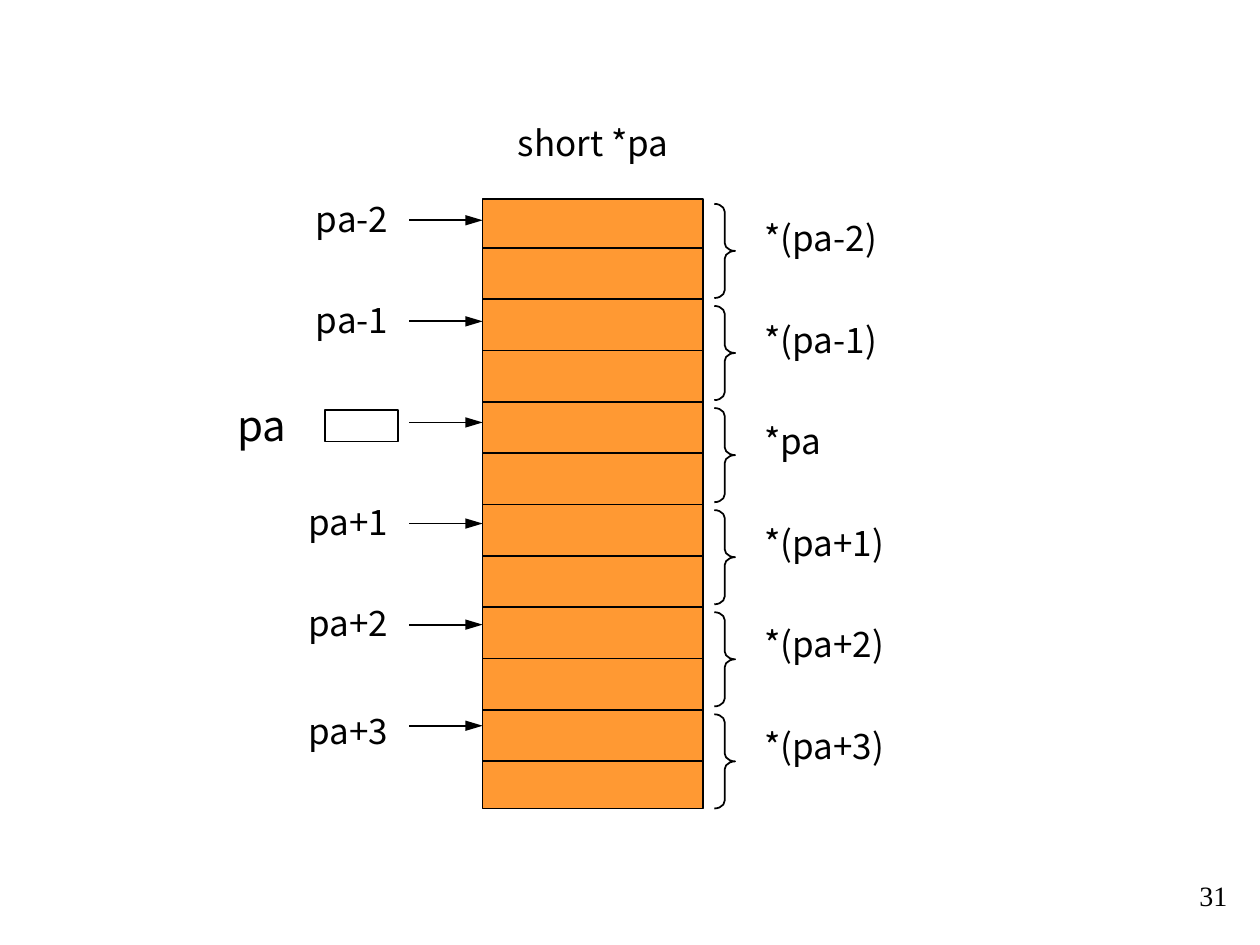
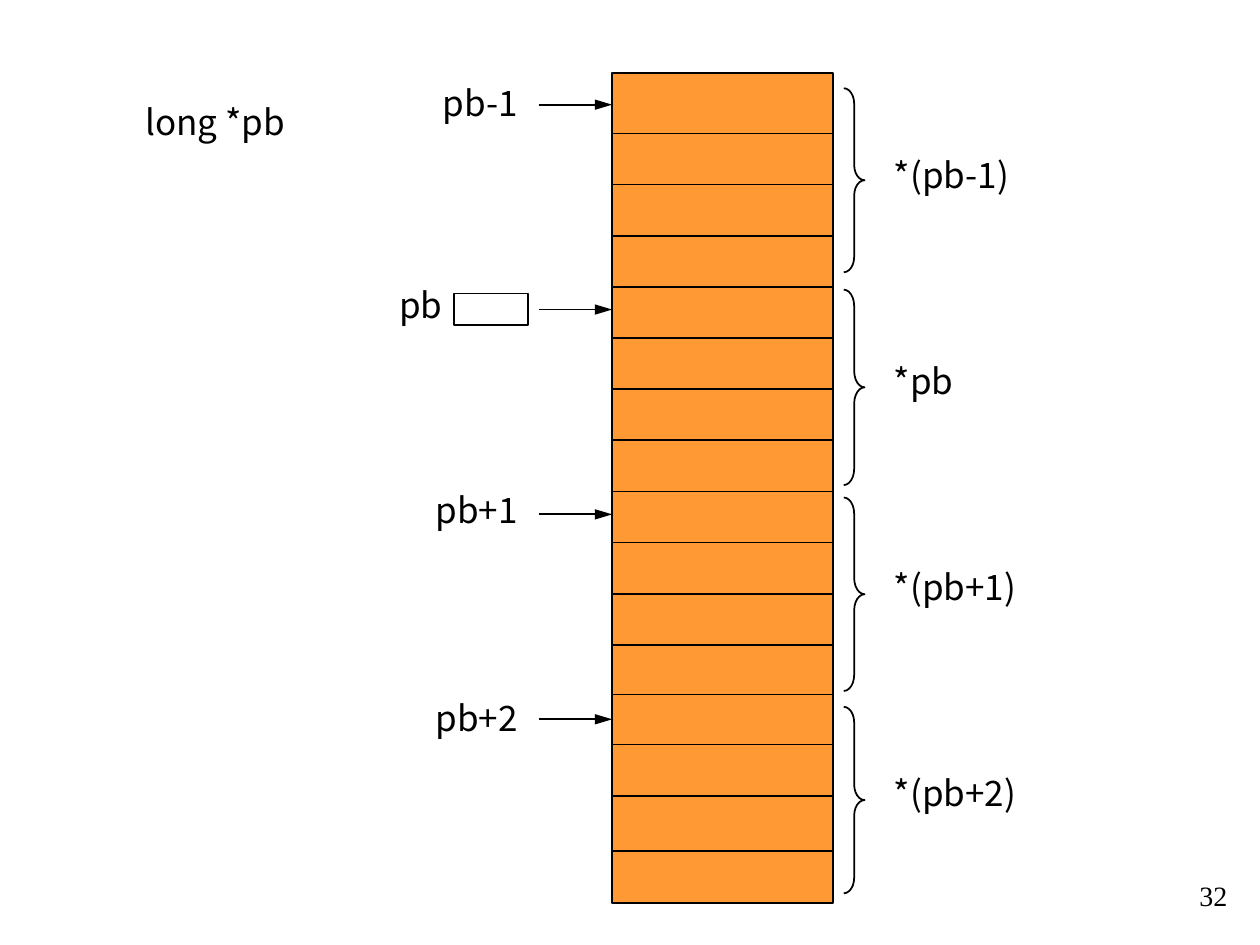
from dataclasses import dataclass

from lxml import etree
from pptx import Presentation
from pptx.dml.color import RGBColor
from pptx.enum import shapes, text
from pptx.oxml import ns
from pptx.util import Cm, Pt

LEFT, CENTER, RIGHT = text.PP_ALIGN.LEFT, text.PP_ALIGN.CENTER, text.PP_ALIGN.RIGHT


@dataclass(frozen=True)
class Theme:
    ink: RGBColor = RGBColor(0x00, 0x00, 0x00)
    memory: RGBColor = RGBColor(0xFF, 0x99, 0x33)
    font: str = "Noto Sans CJK SC"
    number_font: str = "Times New Roman"
    label_size: int = 20
    large_size: int = 24
    number_size: int = 16
    line: float = 1


def spread(first, last, count):
    """Return count evenly spaced positions from first to last."""
    step = (last - first) / (count - 1)
    return [first + i * step for i in range(count)]


class Deck:
    STACK_W = 4.45
    ARROW_W = 1.48
    LABEL_H = 1.12

    def __init__(self, theme):
        self.theme = theme
        self.prs = Presentation()
        self.prs.slide_width, self.prs.slide_height = Cm(25.4), Cm(19.05)
        self.s = None

    def new_slide(self, title, x, y, number):
        self.s = self.prs.slides.add_slide(self.prs.slide_layouts[5])
        sp = self.s.shapes.title
        sp.left, sp.top, sp.width, sp.height = Cm(x), Cm(y), Cm(4.02), Cm(self.LABEL_H)
        self.set_text(sp, title, CENTER)
        self.label(str(number), 23.93, 17.58, 1.47, size=self.theme.number_size,
                   font=self.theme.number_font)

    def set_text(self, sp, words, align, size=None, font=None):
        tf = sp.text_frame
        tf.word_wrap = True
        tf.auto_size = text.MSO_AUTO_SIZE.SHAPE_TO_FIT_TEXT
        tf.vertical_anchor = text.MSO_ANCHOR.TOP
        p = tf.paragraphs[0]
        p.text = words
        p.alignment = align
        p.space_before = Pt(0)
        p.font.size = Pt(size or self.theme.label_size)
        p.font.name = font or self.theme.font
        p.font.color.rgb = self.theme.ink

    def label(self, words, x, y, w, align=LEFT, size=None, font=None):
        sp = self.s.shapes.add_textbox(Cm(x), Cm(y), Cm(w), Cm(self.LABEL_H))
        self.set_text(sp, words, align, size, font)

    def outline(self, sp):
        sp.line.color.rgb = self.theme.ink
        sp.line.width = Pt(self.theme.line)

    def shape(self, kind, x, y, w, h, fill=None):
        sp = self.s.shapes.add_shape(kind, Cm(x), Cm(y), Cm(w), Cm(h))
        sp.shadow.inherit = False
        if fill is None:
            sp.fill.background()
        else:
            sp.fill.solid()
            sp.fill.fore_color.rgb = fill
        self.outline(sp)
        return sp

    def line(self, x, y, w, arrow=False):
        """Draw a level line, with a long arrowhead at its right end if asked."""
        c = self.s.shapes.add_connector(shapes.MSO_CONNECTOR.STRAIGHT,
                                        Cm(x), Cm(y), Cm(x + w), Cm(y))
        self.outline(c)
        properties = c.element.spPr
        if arrow:
            etree.SubElement(properties.find(ns.qn("a:ln")), ns.qn("a:tailEnd"),
                             type="triangle", w="med", len="lg")
        etree.SubElement(properties, ns.qn("a:effectLst"))

    def brace(self, x, y, h, w=0.42):
        sp = self.shape(shapes.MSO_SHAPE.RIGHT_BRACE, x, y, w, h)
        sp.adjustments[0] = h / (12 * w)

    def memory(self, x, y, h, dividers):
        self.shape(shapes.MSO_SHAPE.RECTANGLE, x, y, self.STACK_W, h, self.theme.memory)
        for divider in dividers:
            self.line(x, divider, self.STACK_W)

    def pointers(self, x, labels, arrows):
        """Name each address left of the stack at x and point at its cell."""
        for name, y in labels.items():
            self.label(name, x - 4.65, y, 3, RIGHT)
        for y in arrows:
            self.line(x - self.ARROW_W, y, self.ARROW_W, arrow=True)

    def variable(self, x, y):
        """Draw the empty box of the pointer variable beside the stack at x."""
        self.shape(shapes.MSO_SHAPE.RECTANGLE, x - 3.18, y, 1.48, 0.64)

    def values(self, x, names, tops, braces):
        for name, top, (brace_y, brace_h) in zip(names, tops, braces):
            self.brace(x + self.STACK_W + 0.22, brace_y, brace_h)
            self.label(name, x + 5.43, top, 4.24)


def short_slide(deck):
    x = 9.73
    deck.new_slide("short *pa", 9.95, 2.33, 31)
    deck.memory(x, 4.02, 12.28, spread(5, 15.34, 11))
    deck.pointers(x, {"pa-2": 3.86, "pa-1": 5.89, "pa+1": 9.96, "pa+2": 12.01, "pa+3": 14.17},
                  spread(4.44, 14.63, 6))
    deck.label("pa", 4.01, 7.92, 2.54, CENTER, deck.theme.large_size)
    deck.variable(x, 8.26)
    names = ["*(pa-2)", "*(pa-1)", "*pa", "*(pa+1)", "*(pa+2)", "*(pa+3)"]
    deck.values(x, names, spread(4.24, 14.48, 6),
                [(y, 1.9) for y in spread(4.11, 14.4, 6)])


def long_slide(deck):
    x = 12.34
    deck.new_slide("long *pb", 2.33, 1.9, 32)
    deck.memory(x, 1.48, 16.72, [*spread(2.69, 13, 11), 14, 15.01, 16.05, 17.15])
    deck.pointers(x, {"pb-1": 1.52, "pb+1": 9.73, "pb+2": 13.92}, spread(2.11, 14.5, 4))
    deck.label("pb", 6.78, 5.59, 2.39, RIGHT)
    deck.variable(x, 5.92)
    deck.values(x, ["*(pb-1)", "*pb", "*(pb+1)", "*(pb+2)"], spread(2.97, 15.42, 4),
                [(1.78, 3.71), (5.84, 3.94), (10.03, 3.9), (14.25, 3.76)])


def main():
    deck = Deck(Theme())
    short_slide(deck)
    long_slide(deck)
    deck.prs.save("out.pptx")


if __name__ == "__main__":
    main()
